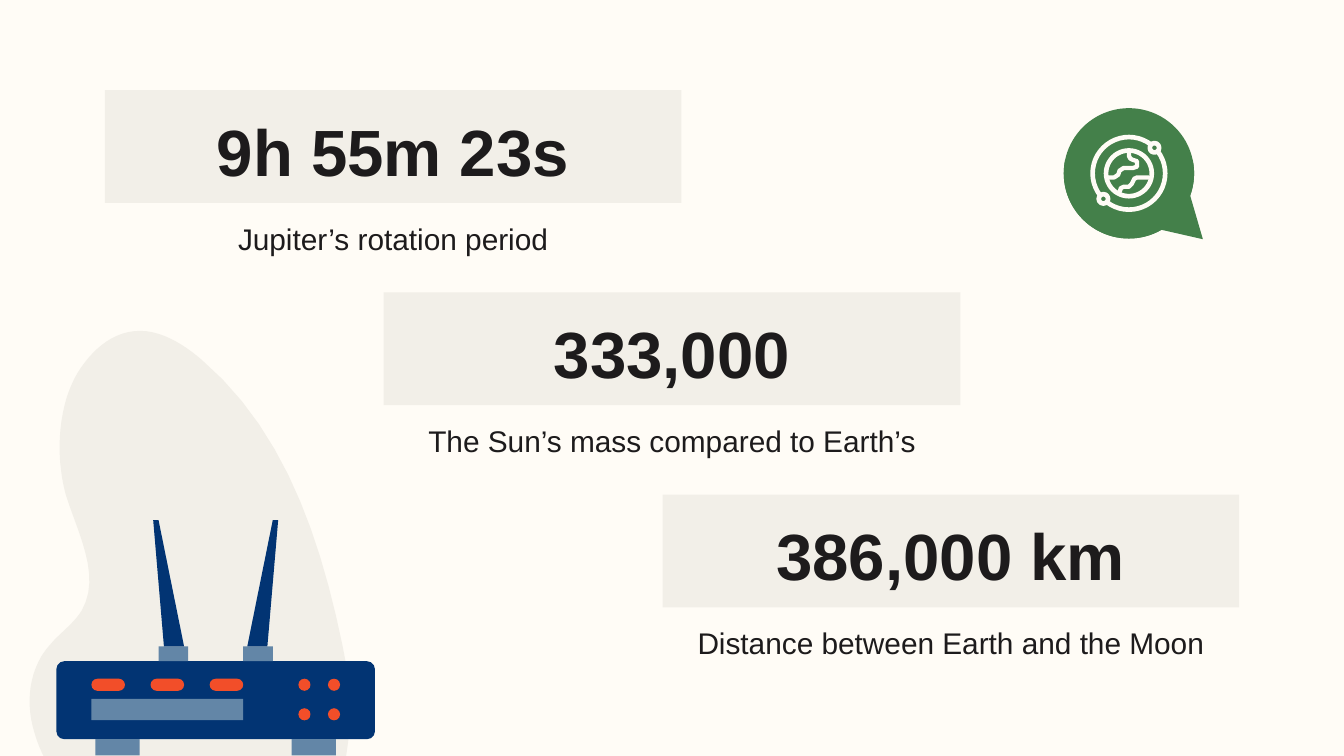
from math import cos, radians, sin
from lxml import etree
from pptx import Presentation
from pptx.dml.color import RGBColor
from pptx.enum.shapes import MSO_SHAPE
from pptx.enum.text import MSO_ANCHOR, MSO_AUTO_SIZE, PP_ALIGN
from pptx.oxml.ns import qn
from pptx.util import Inches, Pt

RECT, OVAL, ROUND = MSO_SHAPE.RECTANGLE, MSO_SHAPE.OVAL, MSO_SHAPE.ROUNDED_RECTANGLE
TOP, LOW = MSO_ANCHOR.TOP, MSO_ANCHOR.BOTTOM
CENTER, FIXED = PP_ALIGN.CENTER, MSO_AUTO_SIZE.NONE
CREAM = RGBColor(0xFF, 0xFC, 0xF6)
SAND = RGBColor(0xF2, 0xEF, 0xE8)
INK = RGBColor(0x1D, 0x1B, 0x1C)
GREEN = RGBColor(0x44, 0x80, 0x4A)
NAVY = RGBColor(0x02, 0x34, 0x73)
STEEL = RGBColor(0x63, 0x86, 0xA7)
RED = RGBColor(0xF2, 0x4E, 0x29)


def paint(shape, fill, line=None, width=2.5):
    shape.shadow.inherit = False
    if fill is None:
        shape.fill.background()
    else:
        shape.fill.solid()
        shape.fill.fore_color.rgb = fill
    if line is None:
        shape.line.fill.background()
    else:
        shape.line.color.rgb = line
        shape.line.width = Pt(width)
    return shape


def trace(shapes, points, close=True):
    spots = [(Inches(x), Inches(y)) for x, y in points]
    pen = shapes.build_freeform(*spots[0], scale=1)
    pen.add_line_segments(spots[1:], close=close)
    return pen.convert_to_shape()


prs = Presentation()
prs.slide_width = Inches(10)
prs.slide_height = prs.slide_width * 9 // 16
slide = prs.slides.add_slide(prs.slide_layouts[4])
slide.background.fill.solid()
slide.background.fill.fore_color.rgb = CREAM

LEFT, HEAD, COL, ROW, WIDE = 0.78, 0.67, 2.075, 1.505, 4.29
facts = [
    ("9h 55m 23s", "Jupiter’s rotation period"),
    ("333,000", "The Sun’s mass compared to Earth’s"),
    ("386,000 km", "Distance between Earth and the Moon"),
]
holders = {p.placeholder_format.idx: p for p in slide.placeholders}
heads = [holders[0], holders[1], holders[3]]
notes = [holders[2], holders[4], slide.shapes.add_textbox(0, 0, 0, 0)]
for i, (fact, note) in enumerate(facts):
    for box, text, drop, high, size, bold, anchor in (
        (heads[i], fact, 0, 0.84, 35, True, LOW),
        (notes[i], note, 0.87, 0.41, 16, False, TOP),
    ):
        box.left, box.top = Inches(LEFT + i * COL), Inches(HEAD + i * ROW + drop)
        box.width, box.height = Inches(WIDE), Inches(high)
        if bold:
            box.fill.solid()
            box.fill.fore_color.rgb = SAND
        frame = box.text_frame
        frame.text = text
        frame.word_wrap, frame.auto_size = True, FIXED
        frame.vertical_anchor = anchor
        frame.margin_left = frame.margin_right = Inches(0.1)
        frame.margin_top = frame.margin_bottom = Inches(0.1)
        para = frame.paragraphs[0]
        para.alignment, para.space_before = CENTER, Pt(0)
        props = para._p.get_or_add_pPr()
        props.set("marL", "0")
        props.set("indent", "0")
        etree.SubElement(props, qn("a:buNone"))
        font = para.runs[0].font
        font.name, font.size, font.bold = "Arial", Pt(size), bold
        font.color.rgb = INK

MIDX, MIDY, RAD = 8.4, 1.29, 0.485
badge = slide.shapes.add_group_shape().shapes
arcs = [
    [(MIDX + RAD * cos(radians(a)), MIDY + RAD * sin(radians(a))) for a in span]
    for span in (range(192, 56, -4), range(20, -13, -4))
]
paint(trace(badge, arcs[0] + [(8.95, 1.78)] + arcs[1]), GREEN)
for x, y, r, fill, line in (
    (MIDX, MIDY, RAD, GREEN, None),
    (MIDX, MIDY, 0.27, None, CREAM),
    (MIDX, MIDY, 0.17, None, CREAM),
    (MIDX + 0.19, MIDY - 0.19, 0.035, GREEN, CREAM),
    (MIDX - 0.19, MIDY + 0.19, 0.035, GREEN, CREAM),
):
    dot = badge.add_shape(OVAL, Inches(x - r), Inches(y - r), Inches(2 * r), Inches(2 * r))
    paint(dot, fill, line)
coasts = [
    [(8.4, 1.13), (8.4, 1.16), (8.41, 1.18), (8.43, 1.19), (8.46, 1.2), (8.46, 1.24),
     (8.43, 1.25), (8.36, 1.25), (8.33, 1.27), (8.32, 1.3), (8.29, 1.32), (8.24, 1.32)],
    [(8.55, 1.32), (8.46, 1.32), (8.44, 1.33), (8.42, 1.37), (8.4, 1.39),
     (8.36, 1.39), (8.34, 1.4), (8.33, 1.43)],
]
for coast in coasts:
    paint(trace(badge, coast, False), None, CREAM, 2.3)

curves = [
    (0.58, 2.82, 0.55, 2.89, 0.53, 2.95), (0.46, 3.18, 0.46, 3.44, 0.52, 3.67),
    (0.61, 3.96, 0.79, 4.28, 0.64, 4.54), (0.57, 4.65, 0.47, 4.71, 0.4, 4.8),
    (0.38, 4.82, 0.36, 4.85, 0.34, 4.88), (0.24, 5.05, 0.23, 5.26, 0.29, 5.45),
    (0.35, 5.67, 0.5, 5.86, 0.65, 6.03), (0.86, 6.25, 1.09, 6.46, 1.37, 6.57),
    (1.65, 6.67, 2.03, 6.72, 2.23, 6.5), (2.29, 6.44, 2.33, 6.37, 2.38, 6.3),
    (2.61, 5.9, 2.68, 5.31, 2.62, 5), (2.46, 4.14, 2.2, 3.24, 1.53, 2.67),
    (1.39, 2.55, 1.21, 2.44, 1.03, 2.46), (0.85, 2.48, 0.71, 2.61, 0.61, 2.77),
]
TURN, PIVX, PIVY = 300, 1.44, 4.61
c, s = cos(radians(TURN)), sin(radians(TURN))
rim = [(0.61, 2.77)]
for ax, ay, bx, by, ex, ey in curves:
    sx, sy = rim[-1]
    for t in (n / 12 for n in range(1, 13)):
        u = 1 - t
        k = u**3, 3 * u * u * t, 3 * u * t * t, t**3
        rim.append((sum(m * v for m, v in zip(k, (sx, ax, bx, ex))),
                    sum(m * v for m, v in zip(k, (sy, ay, by, ey)))))
flat = [(PIVX + c * (x - PIVX) + s * (y - PIVY), PIVY - s * (x - PIVX) + c * (y - PIVY))
        for x, y in rim]
blob = paint(trace(slide.shapes, flat), SAND)
blob.left, blob.top = Inches(-0.33), Inches(2.97)
blob.rotation = TURN

router = slide.shapes.add_group_shape().shapes
parts = [(ROUND, 0.42, 4.92, 2.37, 0.58, NAVY, 0.1)]
parts += [(RECT, x, 5.5, 0.33, 0.12, STEEL, 0) for x in (0.71, 2.17)]
parts += [(ROUND, 0.68 + i * 0.44, 5.05, 0.25, 0.09, RED, 0.5) for i in range(3)]
parts += [(OVAL, x, y, 0.09, 0.09, RED, 0) for y in (5.05, 5.27) for x in (2.22, 2.44)]
parts += [(RECT, 0.68, 5.2, 1.13, 0.16, STEEL, 0)]
parts += [(RECT, x, 4.81, 0.22, 0.11, STEEL, 0) for x in (1.18, 1.81)]
for kind, x, y, w, h, fill, bend in parts:
    part = paint(router.add_shape(kind, Inches(x), Inches(y), Inches(w), Inches(h)), fill)
    if bend:
        part.adjustments[0] = bend
for tip, foot in ((1.14, 1.22), (2.03, 1.84)):
    mast = [(tip, 3.87), (foot, 4.81), (foot + 0.15, 4.81), (tip + 0.04, 3.87)]
    paint(trace(router, mast), NAVY)

prs.save("out.pptx")
